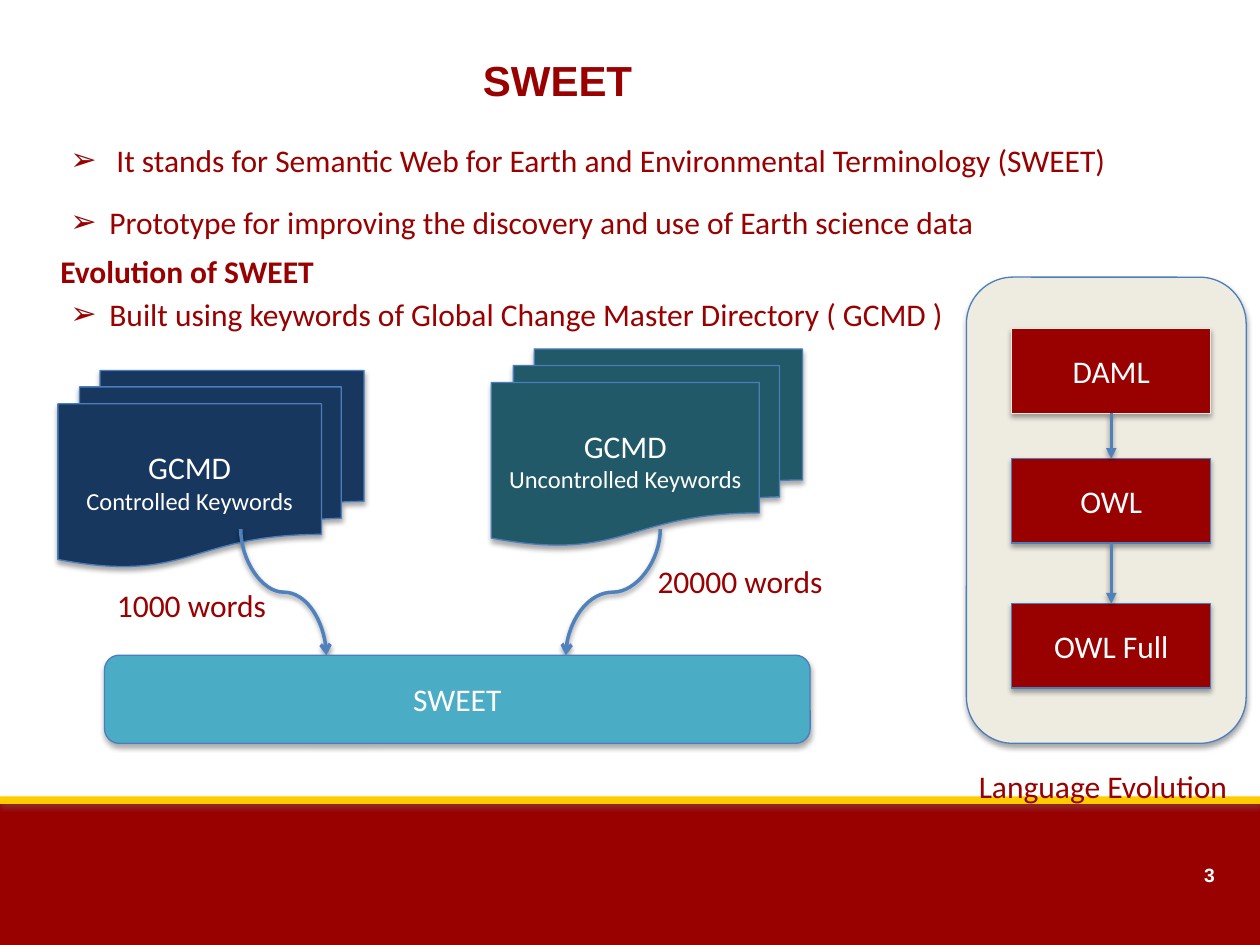
import pptx
import pptx.util
import pptx.dml.color
import pptx.enum.shapes
import pptx.enum.text
import pptx.oxml.ns
from lxml import etree

Inches = pptx.util.Inches
Pt = pptx.util.Pt
KIND = pptx.enum.shapes.MSO_SHAPE
LINK = pptx.enum.shapes.MSO_CONNECTOR
ALIGN = pptx.enum.text.PP_ALIGN
HUE = {
    "red": "990000", "gold": "FFCC00", "white": "FFFFFF", "navy": "17375E",
    "teal": "215968", "aqua": "4BACC6", "cream": "EEECE1", "edge": "4B7EBC",
    "arrow": "4F81BD", "black": "000000", "gray": "808080",
}


def color(name):
    """Return the named colour."""
    return pptx.dml.color.RGBColor.from_string(HUE[name])


def node(parent, tag, **attrs):
    """Append a drawing element to its parent."""
    return etree.SubElement(parent, pptx.oxml.ns.qn("a:" + tag), attrs)


def shade(effects, hue="black", alpha=35, dist=1.8):
    """Fill an effect list with a soft shadow that falls downward."""
    outer = node(effects, "outerShdw", blurRad=str(Pt(3.1)), dist=str(Pt(dist)),
                 dir="5400000", rotWithShape="0")
    tint = node(outer, "srgbClr", val=HUE[hue])
    node(tint, "alpha", val=str(alpha * 1000))


def style(para, size=18, hue="red", font="Calibri", bold=False, align=ALIGN.LEFT):
    """Format a paragraph and its runs."""
    para.alignment = align
    for run in para.runs:
        run.font.size = Pt(size)
        run.font.name = font
        run.font.bold = bold
        run.font.color.rgb = color(hue)


def label(slide, box, text, wrap=False, **look):
    """Add one line of text and return its paragraph."""
    frame = slide.shapes.add_textbox(*map(Inches, box)).text_frame
    frame.word_wrap = wrap
    frame.auto_size = pptx.enum.text.MSO_AUTO_SIZE.SHAPE_TO_FIT_TEXT
    frame.text = text
    style(frame.paragraphs[0], **look)
    return frame.paragraphs[0]


def block(slide, kind, box, fill, edge="edge", lines=(), **cast):
    """Add a filled shape with centred lines, the first one larger."""
    shape = slide.shapes.add_shape(kind, *map(Inches, box))
    shape.fill.solid()
    shape.fill.fore_color.rgb = color(fill)
    if edge:
        shape.line.color.rgb = color(edge)
        shape.line.width = Pt(0.75)
    else:
        shape.line.fill.background()
    shape.shadow.inherit = False
    shade(shape._element.spPr.find(pptx.oxml.ns.qn("a:effectLst")), **cast)
    frame = shape.text_frame
    frame.word_wrap = True
    frame.vertical_anchor = pptx.enum.text.MSO_ANCHOR.MIDDLE
    frame.text = "\n".join(lines)
    for rank, para in enumerate(frame.paragraphs):
        style(para, 14 if rank else 18, "white", align=ALIGN.CENTER)


def arrow(slide, start, end, kind=LINK.STRAIGHT, head="triangle"):
    """Add a shadowed arrow between two points."""
    line = slide.shapes.add_connector(kind, *map(Inches, start + end))
    line.line.color.rgb = color("arrow")
    line.line.width = Pt(2)
    node(line.line._get_or_add_ln(), "tailEnd", type=head)
    shade(node(line._element.spPr, "effectLst"), alpha=38, dist=1.6)
    return line


def curve(slide, start, end):
    """Add a curved arrow that leaves and arrives vertically."""
    (x1, y1), (x2, y2) = start, end
    wide, high = y2 - y1, abs(x2 - x1)
    line = arrow(slide, start, end, LINK.CURVE, "arrow")
    line.left = Inches((x1 + x2 - wide) / 2)
    line.top = Inches((y1 + y2 - high) / 2)
    line.width, line.height = Inches(wide), Inches(high)
    frame = line._element.spPr.find(pptx.oxml.ns.qn("a:xfrm"))
    frame.attrib.pop("flipH", None)
    frame.set("rot", "16200000" if x2 > x1 else "5400000")
    if x2 > x1:
        frame.set("flipH", "1")


def footer(slide, box):
    """Draw the bottom band, its gold rule and the page number."""
    x, y, w, h = box
    block(slide, KIND.RECTANGLE, box, "red", None, hue="gray")
    block(slide, KIND.RECTANGLE, (x, y - 0.03, w, 0.06), "gold", None,
          hue="gray", alpha=38, dist=1.6)
    label(slide, (x + w - 2.04, y + 0.45, 1.78, 0.35), "3", True, size=11,
          hue="white", font="Arial", bold=True, align=ALIGN.RIGHT)


def header(slide, box):
    """Write the slide title."""
    label(slide, box, "SWEET", True, size=24, font="Arial", bold=True,
          align=ALIGN.CENTER)


def points(slide, box):
    """Write the bulleted points and the subheading."""
    x, y, w, h = box
    rows = [
        (0, 8.79, " It stands for Semantic Web for Earth and Environmental Terminology (SWEET)"),
        (0.49, 7.47, "Prototype for improving the discovery and use of Earth science data"),
        (1.22, 7.21, "Built using keywords of Global Change Master Directory ( GCMD )"),
    ]
    for drop, wide, text in rows:
        para = label(slide, (x, y + drop, wide, 0.4), text, wide == w)
        props = para._p.get_or_add_pPr()
        props.set("marL", str(Inches(0.31)))
        props.set("indent", str(Inches(-0.31)))
        node(props, "buFont", typeface="Arial")
        node(props, "buChar", char="➢")
    label(slide, (x - 0.08, y + 0.88, 2.25, 0.4), "Evolution of SWEET", bold=True)


def flow(slide, box):
    """Draw the two keyword sets that feed into the result bar."""
    x, y, w, h = box
    bar = y + h - 0.7
    sets = [
        (0, 0.17, 2.43, "navy", "Controlled Keywords"),
        (3.44, 0, 2.47, "teal", "Uncontrolled Keywords"),
    ]
    for left, drop, wide, fill, text in sets:
        block(slide, KIND.FLOWCHART_MULTIDOCUMENT,
              (x + left, y + drop, wide, 1.56), fill, lines=("GCMD", text))
    for start, end in ((1.45, 2.13), (4.78, 4.03)):
        curve(slide, (x + start, bar - 1), (x + end, bar))
    block(slide, KIND.ROUNDED_RECTANGLE, (x + 0.37, bar, 5.6, 0.7), "aqua",
          lines=("SWEET",))
    label(slide, (x + 0.37, bar - 0.6, 1.4, 0.4), "1000 words", True)
    label(slide, (x + 4.66, bar - 0.79, 1.58, 0.4), "20000 words", True)


def panel(slide, box):
    """Draw the panel with the chain of languages and its caption."""
    x, y, w, h = box
    block(slide, KIND.ROUNDED_RECTANGLE, box, "cream")
    steps = [(0.41, "DAML", "cream"), (1.44, "OWL", "edge"), (2.59, "OWL Full", "edge")]
    for drop, text, edge in steps:
        block(slide, KIND.RECTANGLE, (x + 0.36, y + drop, 1.58, 0.67), "red",
              edge, (text,))
    for above, below in zip(steps, steps[1:]):
        arrow(slide, (x + 1.15, y + above[0] + 0.67), (x + 1.15, y + below[0]))
    label(slide, (x, y + h + 0.14, 2.2, 0.4), "Language Evolution")


def main():
    """Build and save the slide."""
    deck = pptx.Presentation()
    deck.slide_width, deck.slide_height = Inches(10), Inches(7.5)
    slide = deck.slides.add_slide(deck.slide_layouts[6])
    footer(slide, (0, 6.35, 10, 1.15))
    header(slide, (0.38, 0.38, 8.09, 0.51))
    panel(slide, (7.67, 2.2, 2.22, 3.7))
    flow(slide, (0.46, 2.77, 5.97, 3.13))
    points(slide, (0.46, 1.07, 8.79, 1.62))
    deck.save("out.pptx")


if __name__ == "__main__":
    main()
